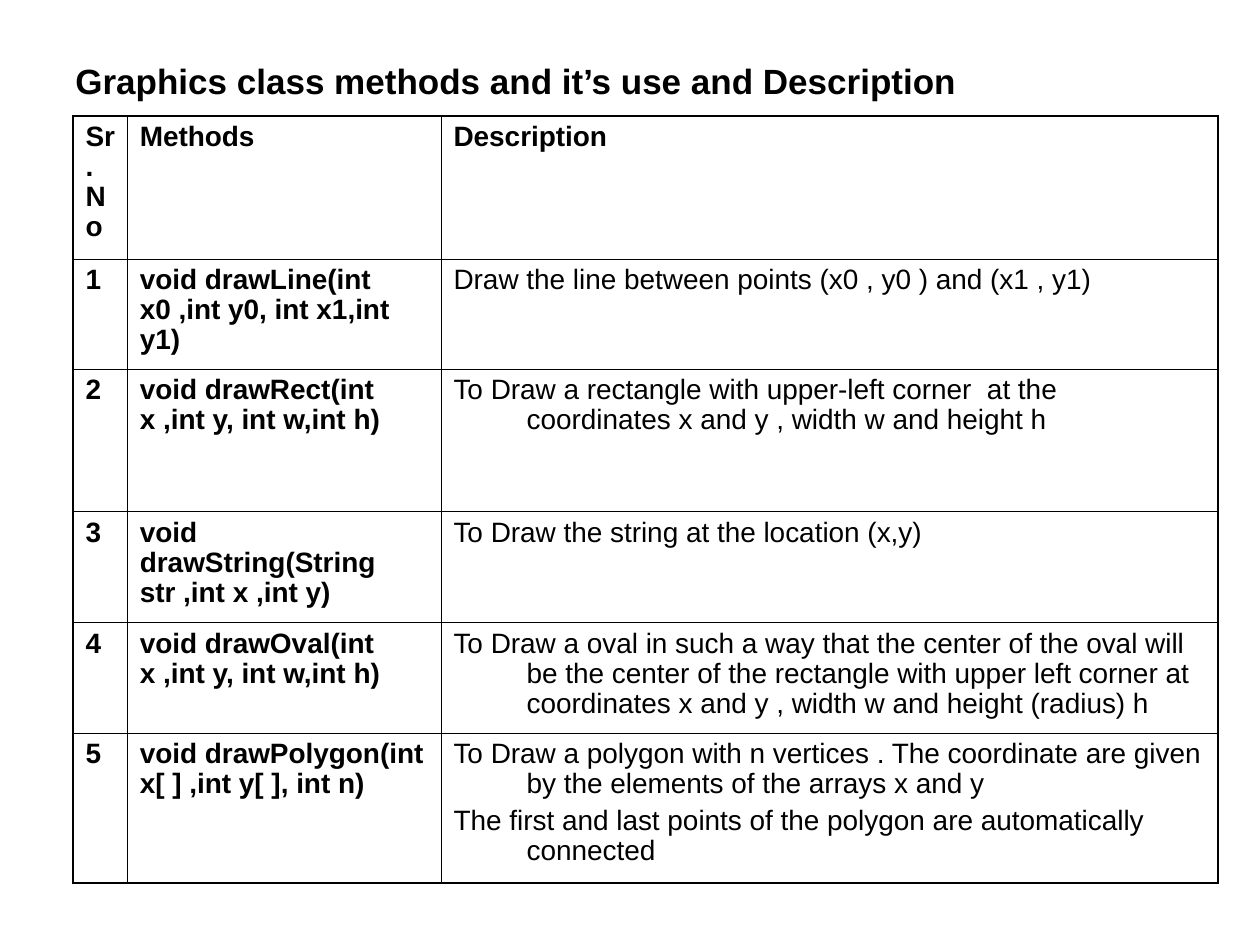
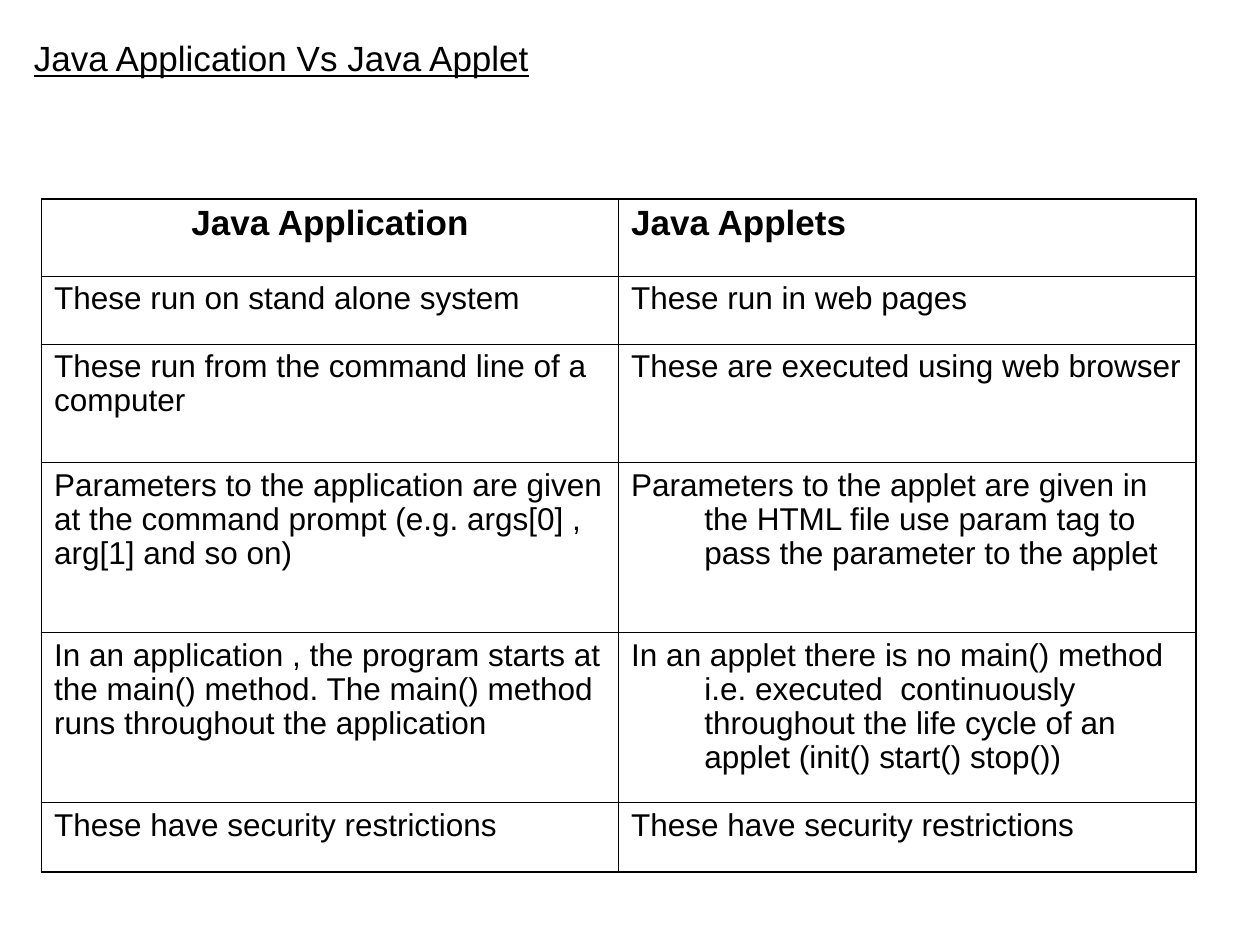
from lxml.etree import SubElement
from pptx import Presentation
from pptx.dml.color import RGBColor
from pptx.enum.text import MSO_ANCHOR, PP_ALIGN
from pptx.oxml.ns import qn
from pptx.util import Emu, Pt

PX = 9144  # 100 px to the inch
BLACK = "000000"
THIN, THICK = 5715, 13716  # inner rules and outer frame, in EMU
HANG = 58


def write(par, text, **style):
    """Fill a paragraph with black Arial text, styled by font attributes."""
    par.text = text
    par.font.color.rgb = RGBColor.from_string(BLACK)
    for name, value in {"name": "Arial", **style}.items():
        setattr(par.font, name, value)


def rule(cell, side, width):
    """Draw one border of a cell; side is L, R, T or B."""
    line = SubElement(cell._tc.get_or_add_tcPr(), qn(f"a:ln{side}"), w=str(width))
    fill = SubElement(line, qn("a:solidFill"))
    SubElement(fill, qn("a:srgbClr"), val=BLACK)


pages = [
    {
        "title": "Graphics class methods and it’s use and Description",
        "box": (50, 33, 900, 62),
        "font": {"bold": True},
        "at": (58, 92),
        "cols": [43, 249, 617],
        "rows": [113, 84, 113, 88, 87, 119],
        "head": 16, "size": 16, "gap": 4,
        "bold": 2,  # leading columns set in bold
        "center": False,
        "cells": [
            ("Sr. No", "Methods", "Description"),
            ("1", "void drawLine(int x0 ,int y0, int x1,int y1)",
             "Draw the line between points (x0 , y0 ) and (x1 , y1)"),
            ("2", "void drawRect(int x ,int y, int w,int h)",
             "To Draw a rectangle with upper-left corner  at the coordinates "
             "x and y , width w and height h"),
            ("3", "void drawString(String str ,int x ,int y)",
             "To Draw the string at the location (x,y)"),
            ("4", "void drawOval(int x ,int y, int w,int h)",
             "To Draw a oval in such a way that the center of the oval will be "
             "the center of the rectangle with upper left corner at "
             "coordinates x and y , width w and height (radius) h"),
            ("5", "void drawPolygon(int x[ ] ,int y[ ], int n)",
             "To Draw a polygon with n vertices . The coordinate are given by "
             "the elements of the arrays x and y\n"
             "The first and last points of the polygon are automatically "
             "connected"),
        ],
    },
    {
        "title": "Java Application Vs Java Applet",
        "box": (17, 17, 900, 58),
        "font": {"underline": True},
        "at": (33, 158),
        "cols": [458, 458],
        "rows": [61, 54, 94, 135, 135, 55],
        "head": 20, "size": 18, "gap": 4.5,
        "bold": 0,
        "center": True,
        "cells": [
            ("Java Application", "Java Applets"),
            ("These run on stand alone system", "These run in web pages"),
            ("These run from the command line of a computer",
             "These are executed using web browser"),
            ("Parameters to the application are given at the command prompt "
             "(e.g. args[0] , arg[1] and so on)",
             "Parameters to the applet are given in the HTML file use param "
             "tag to pass the parameter to the applet"),
            ("In an application , the program starts at the main() method. "
             "The main() method runs throughout the application",
             "In an applet there is no main() method i.e. executed  "
             "continuously throughout the life cycle of an applet "
             "(init() start() stop())"),
            ("These have security restrictions",
             "These have security restrictions"),
        ],
    },
]

deck = Presentation()
deck.slide_width, deck.slide_height = Emu(1000 * PX), Emu(750 * PX)

for page in pages:
    slide = deck.slides.add_slide(deck.slide_layouts[6])
    frame = slide.shapes.add_textbox(*[Emu(n * PX) for n in page["box"]]).text_frame
    frame.word_wrap = True
    frame.vertical_anchor = MSO_ANCHOR.MIDDLE
    write(frame.paragraphs[0], page["title"], size=Pt(20), **page["font"])

    cols, rows = page["cols"], page["rows"]
    place = [Emu(n * PX) for n in (*page["at"], sum(cols), sum(rows))]
    table = slide.shapes.add_table(len(rows), len(cols), *place).table
    table.first_row = table.horz_banding = False
    for col, width in zip(table.columns, cols):
        col.width = Emu(width * PX)
    for row, height in zip(table.rows, rows):
        row.height = Emu(height * PX)

    end, last = len(rows) - 1, len(cols) - 1
    for r, texts in enumerate(page["cells"]):
        for c, text in enumerate(texts):
            cell = table.cell(r, c)
            edges = {"L": c == 0, "R": c == last, "T": r == 0, "B": r == end}
            for side, outer in edges.items():
                rule(cell, side, THICK if outer else THIN)
            cell.fill.background()
            size = page["size"] if r else page["head"]
            for n, part in enumerate(text.split("\n")):
                par = cell.text_frame.add_paragraph() if n else cell.text_frame.paragraphs[0]
                par.line_spacing = 0.97
                if n:
                    par.space_before = Pt(page["gap"])
                if r and c == last:
                    props = par._p.get_or_add_pPr()
                    props.set("marL", str(HANG * PX))
                    props.set("indent", str(-HANG * PX))
                write(par, part, size=Pt(size), bold=r == 0 or c < page["bold"])
    if page["center"]:
        table.cell(0, 0).text_frame.paragraphs[0].alignment = PP_ALIGN.CENTER

deck.save("out.pptx")
